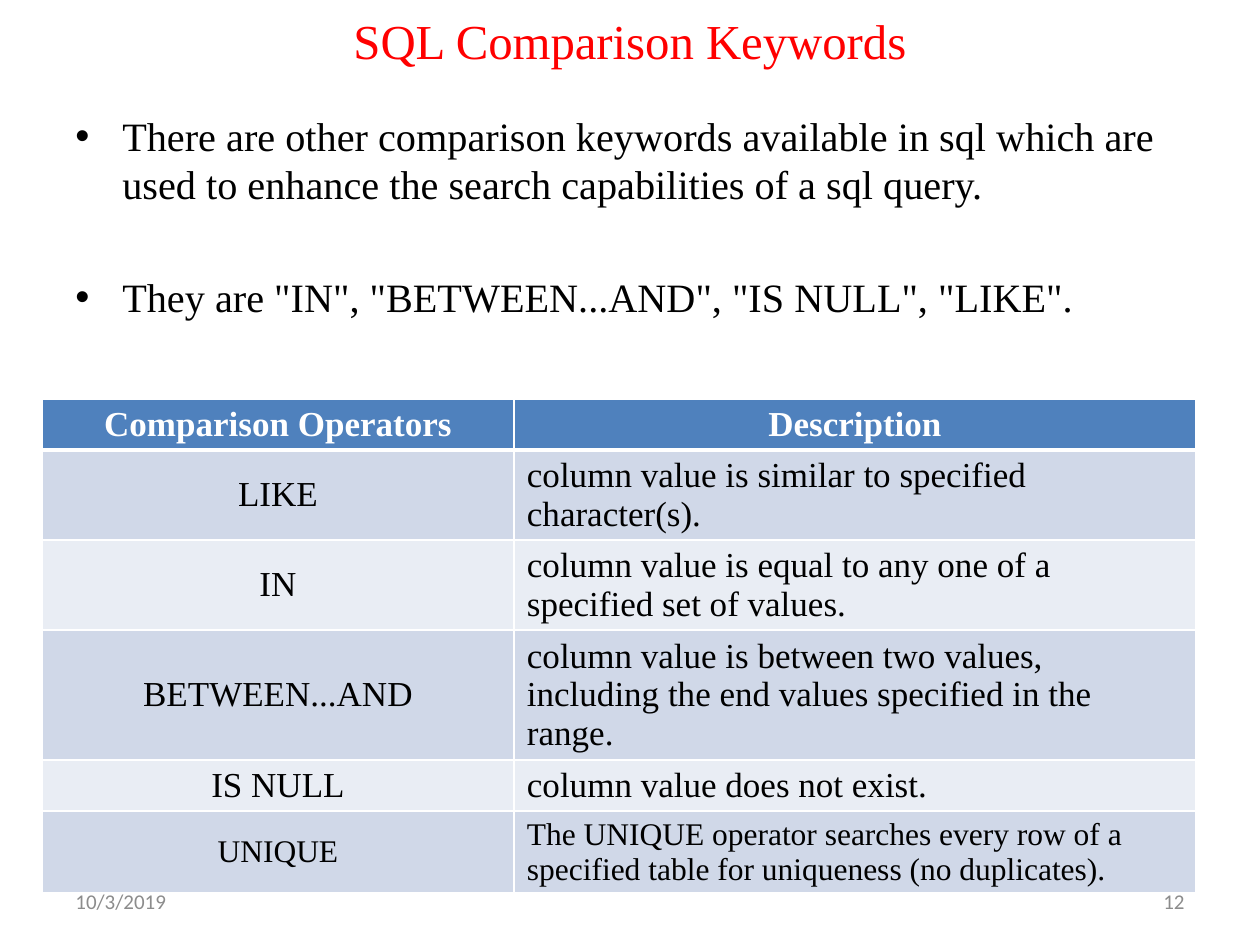
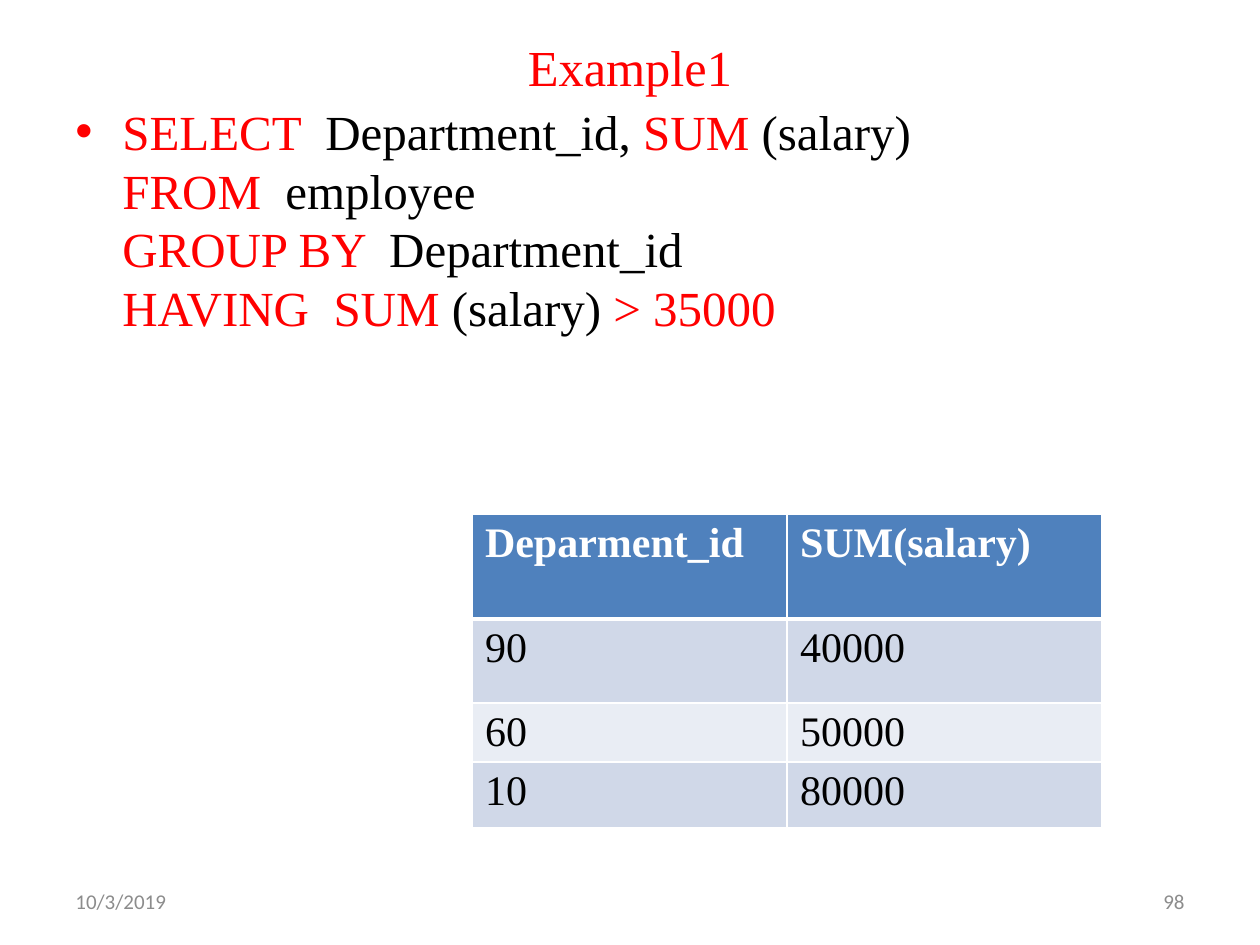
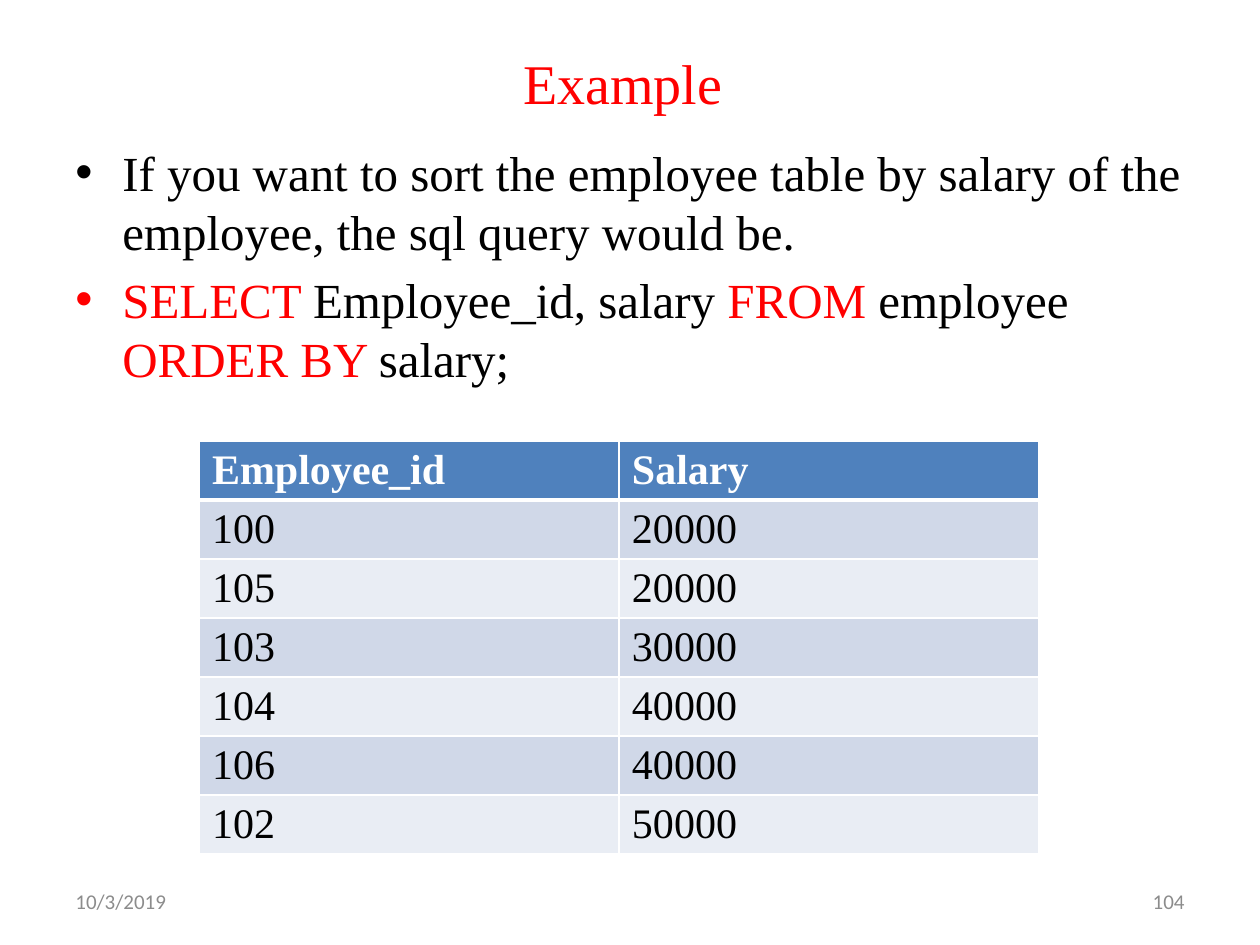
from dataclasses import dataclass
from typing import Any, NamedTuple

import pptx
import pptx.dml.color
import pptx.enum.text
import pptx.oxml
import pptx.oxml.ns
import pptx.util

PP_ALIGN = pptx.enum.text.PP_ALIGN
ANCHOR = pptx.enum.text.MSO_ANCHOR
EMU_PER_PX = 914400 / 126


# Theme and descriptions
@dataclass(frozen=True)
class Theme:
    text_font: str = "Times New Roman"
    footer_font: str = "Calibri"
    accent: str = "FF0000"
    text: str = "000000"
    footer: str = "8C8C8C"
    white: str = "FFFFFF"
    header_fill: str = "4F81BD"
    band_fills: tuple[str, str] = ("D0D8E8", "E9EDF4")
    footer_size: float = 12
    bullet_indent: int = 47


THEME = Theme()


class Area(NamedTuple):
    left: int
    top: int
    width: int
    height: int


@dataclass(frozen=True)
class Title:
    text: str
    area: Area
    size: float


@dataclass(frozen=True)
class Bullet:
    """Lines of one bullet; text between bars is a highlighted keyword."""
    lines: tuple[str, ...]
    space_before: float = 0


@dataclass(frozen=True)
class Body:
    area: Area
    size: float
    bullets: tuple[Bullet, ...]


@dataclass(frozen=True)
class Row:
    height: int
    cells: tuple[str, str]
    size: float = 24


@dataclass(frozen=True)
class Grid:
    left: int
    top: int
    columns: tuple[int, int]
    rows: tuple[Row, ...]
    centred: bool = False


@dataclass(frozen=True)
class Lesson:
    title: Title
    body: Body
    grid: Grid
    number: str


# Helpers
def px(length: int) -> pptx.util.Emu:
    return pptx.util.Emu(round(length * EMU_PER_PX))


def rgb(value: str) -> pptx.dml.color.RGBColor:
    return pptx.dml.color.RGBColor.from_string(value)


def add_element(parent: Any, xml: str) -> None:
    namespace = pptx.oxml.ns.nsdecls("a")
    parent.append(pptx.oxml.parse_xml(xml.replace(" ", f" {namespace} ", 1)))


def set_font(para: Any, name: str, size: float, colour: str, bold: bool = False) -> None:
    para.font.name = name
    para.font.size = pptx.util.Pt(size)
    para.font.bold = bold
    para.font.color.rgb = rgb(colour)


def add_box(page: Any, area: Area, anchor: Any) -> Any:
    frame = page.shapes.add_textbox(*map(px, area)).text_frame
    frame.word_wrap = True
    frame.vertical_anchor = anchor
    return frame


# Text parts
def draw_title(page: Any, title: Title) -> None:
    para = add_box(page, title.area, ANCHOR.MIDDLE).paragraphs[0]
    para.text = title.text
    para.alignment = PP_ALIGN.CENTER
    set_font(para, THEME.text_font, title.size, THEME.accent)


def draw_body(page: Any, body: Body) -> None:
    frame = add_box(page, body.area, ANCHOR.TOP)
    for index, bullet in enumerate(body.bullets):
        para = frame.add_paragraph() if index else frame.paragraphs[0]
        draw_bullet(para, bullet, body.size)


def draw_bullet(para: Any, bullet: Bullet, size: float) -> None:
    if bullet.space_before:
        para.space_before = pptx.util.Pt(bullet.space_before)
    properties = para._p.get_or_add_pPr()
    indent = px(THEME.bullet_indent)
    properties.set("marL", str(indent))
    properties.set("indent", str(-indent))
    colour = THEME.accent if bullet.lines[0].startswith("|") else THEME.text
    add_element(properties, f'<a:buClr ><a:srgbClr val="{colour}"/></a:buClr>')
    add_element(properties, '<a:buFont typeface="Arial"/>')
    add_element(properties, '<a:buChar char="•"/>')
    set_font(para, THEME.text_font, size, THEME.text)
    for number, line in enumerate(bullet.lines):
        if number:
            para.add_line_break()
        for position, text in enumerate(line.split("|")):
            if text:
                span = para.add_run()
                span.text = text
                if position % 2:
                    span.font.color.rgb = rgb(THEME.accent)


def draw_footer(page: Any, number: str) -> None:
    for left, text, alignment in ((903, number, PP_ALIGN.RIGHT),
                                  (63, "10/3/2019", PP_ALIGN.LEFT)):
        para = add_box(page, Area(left, 876, 294, 50), ANCHOR.MIDDLE).paragraphs[0]
        para.text = text
        para.alignment = alignment
        set_font(para, THEME.footer_font, THEME.footer_size, THEME.footer)


# Tables
def set_borders(cell: Any, row_index: int) -> None:
    widths = {"L": 1, "R": 1, "T": 3 if row_index == 1 else 1,
              "B": 3 if row_index == 0 else 1}
    properties = cell._tc.get_or_add_tcPr()
    for side, points in widths.items():
        add_element(properties, f'<a:ln{side} w="{pptx.util.Pt(points)}"><a:solidFill>'
                                f'<a:srgbClr val="{THEME.white}"/></a:solidFill></a:ln{side}>')


def draw_grid(page: Any, grid: Grid) -> None:
    area = Area(grid.left, grid.top, sum(grid.columns), sum(row.height for row in grid.rows))
    table = page.shapes.add_table(len(grid.rows), len(grid.columns), *map(px, area)).table
    table.horz_banding = False
    margin_top, margin_bottom = (2, 2) if grid.centred else (6, 2)
    for column, width in zip(table.columns, grid.columns):
        column.width = px(width)
    for row_index, row in enumerate(grid.rows):
        table.rows[row_index].height = px(row.height)
        header = row_index == 0
        fill = THEME.header_fill if header else THEME.band_fills[(row_index - 1) % 2]
        for column_index, text in enumerate(row.cells):
            cell = table.cell(row_index, column_index)
            set_borders(cell, row_index)
            cell.fill.solid()
            cell.fill.fore_color.rgb = rgb(fill)
            cell.vertical_anchor = ANCHOR.MIDDLE if grid.centred else ANCHOR.TOP
            cell.margin_top, cell.margin_bottom = px(margin_top), px(margin_bottom)
            cell.margin_left = cell.margin_right = px(13)
            para = cell.text_frame.paragraphs[0]
            para.text = text
            if grid.centred and (header or column_index == 0):
                para.alignment = PP_ALIGN.CENTER
            set_font(para, THEME.text_font, row.size,
                     THEME.white if header else THEME.text, header)


# Content
LESSONS = (
    Lesson(
        Title("SQL Comparison Keywords", Area(63, 2, 1134, 76), 27.9),
        Body(Area(63, 105, 1134, 740), 23, (
            Bullet(("There are other comparison keywords available in sql which are "
                    "used to enhance the search capabilities of a sql query.",)),
            Bullet(('They are "IN", "BETWEEN...AND", "IS NULL", "LIKE".',), 37),
        )),
        Grid(42, 399, (472, 682), (
            Row(51, ("Comparison Operators", "Description"), 20),
            Row(90, ("LIKE", "column value is similar to specified character(s)."), 20),
            Row(90, ("IN", "column value is equal to any one of a specified set of values."), 20),
            Row(129, ("BETWEEN...AND", "column value is between two values, including "
                      "the end values specified in the range."), 20),
            Row(51, ("IS NULL", "column value does not exist."), 20),
            Row(82, ("UNIQUE", "The UNIQUE operator searches every row of a specified "
                     "table for uniqueness (no duplicates)."), 18),
        ), centred=True),
        "12",
    ),
    Lesson(
        Title("Example1", Area(63, 38, 1134, 57), 28.8),
        Body(Area(63, 95, 1134, 850), 28, (
            Bullet(("|SELECT  |Department_id,| SUM |(salary) ",
                    "|FROM  |employee ",
                    "|GROUP BY  |Department_id ",
                    "|HAVING  SUM |(salary) |> 35000|")),
        )),
        Grid(472, 514, (315, 315), (
            Row(105, ("Deparment_id", "SUM(salary)")),
            Row(84, ("90", "40000")),
            Row(59, ("60", "50000")),
            Row(66, ("10", "80000")),
        )),
        "98",
    ),
    Lesson(
        Title("Example ", Area(63, 38, 1134, 88), 32),
        Body(Area(63, 136, 1134, 756), 28, (
            Bullet(("If you want to sort the employee table by salary of the employee, "
                    "the sql query would be.",)),
            Bullet(("|SELECT |Employee_id, salary |FROM |employee |ORDER BY |salary;",), 5.6),
        )),
        Grid(199, 441, (420, 420), tuple(Row(59, cells) for cells in (
            ("Employee_id", "Salary"),
            ("100", "20000"),
            ("105", "20000"),
            ("103", "30000"),
            ("104", "40000"),
            ("106", "40000"),
            ("102", "50000"),
        ))),
        "104",
    ),
)


def main() -> None:
    deck = pptx.Presentation()
    deck.slide_width, deck.slide_height = px(1260), px(945)
    for lesson in LESSONS:
        page = deck.slides.add_slide(deck.slide_layouts[6])
        draw_title(page, lesson.title)
        draw_body(page, lesson.body)
        draw_grid(page, lesson.grid)
        draw_footer(page, lesson.number)
    deck.save("out.pptx")


if __name__ == "__main__":
    main()
